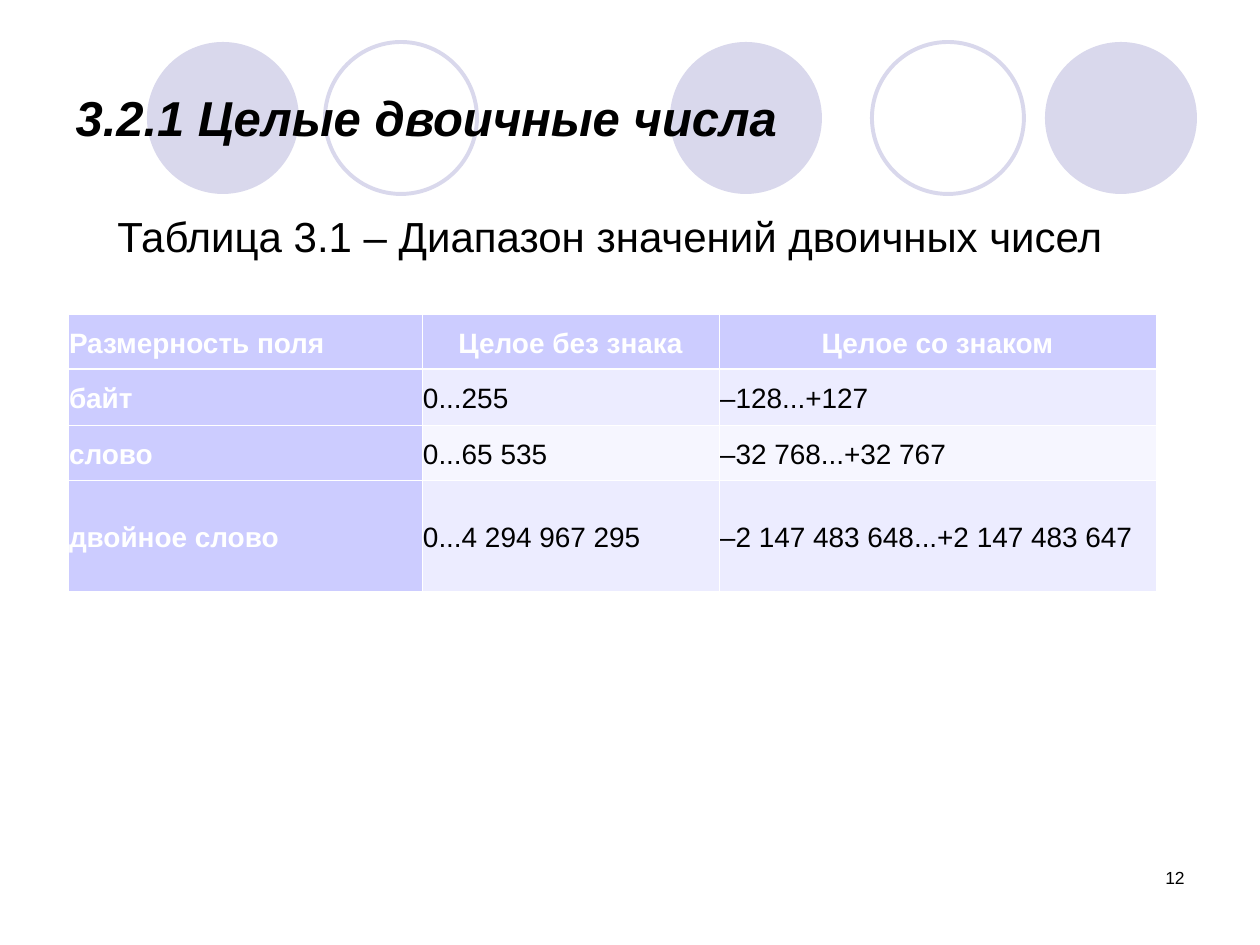
from lxml.etree import SubElement
from pptx import Presentation
from pptx.dml.color import RGBColor
from pptx.enum.shapes import MSO_SHAPE
from pptx.enum.text import MSO_ANCHOR, MSO_AUTO_SIZE, PP_ALIGN
from pptx.oxml.ns import qn
from pptx.util import Pt

PX = 914400 / 126


def color(value):
    return RGBColor.from_string(value)


def write(frame, text, size=16, ink="000000", bold=False, italic=False,
          align=PP_ALIGN.LEFT, anchor=MSO_ANCHOR.MIDDLE, spacing=1.0):
    frame.word_wrap = True
    frame.vertical_anchor = anchor
    para = frame.paragraphs[0]
    para.alignment = align
    para.line_spacing = spacing
    span = para.add_run()
    span.text = text
    span.font.name = "Arial"
    span.font.size = Pt(size)
    span.font.bold = bold
    span.font.italic = italic
    span.font.color.rgb = color(ink)


deck = Presentation()
deck.slide_width = round(1260 * PX)
deck.slide_height = round(945 * PX)
page = deck.slides.add_slide(deck.slide_layouts[5])

for left, filled in [(670, True), (1045, True), (147, True), (872, False), (325, False)]:
    circle = page.shapes.add_shape(
        MSO_SHAPE.OVAL, *[round(length * PX) for length in (left, 42, 152, 152)])
    circle.shadow.inherit = False
    if filled:
        circle.fill.solid()
        circle.fill.fore_color.rgb = color("D9D8EC")
        circle.line.fill.background()
    else:
        circle.fill.background()
        circle.line.color.rgb = color("D9D8EC")
        circle.line.width = Pt(2.25)

title = page.shapes.title
title.left, title.top, title.width, title.height = [
    round(length * PX) for length in (63, 38, 1134, 158)]
write(title.text_frame, "3.2.1 Целые двоичные числа", size=28, bold=True, italic=True)
page.shapes._spTree.append(title._element)

number_box = page.shapes.add_textbox(
    *[round(length * PX) for length in (903, 861, 294, 63)])
write(number_box.text_frame, "12", size=10, align=PP_ALIGN.RIGHT, anchor=MSO_ANCHOR.TOP)

rows = [
    ["Размерность поля", "Целое без знака", "Целое со знаком"],
    ["байт", "0...255", "–128...+127"],
    ["слово", "0...65 535", "–32 768...+32 767"],
    ["двойное слово", "0...4 294 967 295", "–2 147 483 648...+2 147 483 647"],
]
column_widths = [354, 297, 437]
row_heights = [55, 56, 55, 111]
table = page.shapes.add_table(
    len(rows), len(column_widths),
    *[round(length * PX) for length in (68, 314, sum(column_widths), sum(row_heights))]).table
for column, width in zip(table.columns, column_widths):
    column.width = round(width * PX)
for row, height in zip(table.rows, row_heights):
    row.height = round(height * PX)

for row_index, texts in enumerate(rows):
    for column_index, text in enumerate(texts):
        cell = table.cell(row_index, column_index)
        heading = row_index == 0 or column_index == 0
        centered = row_index == 0 and column_index > 0
        cell.margin_left = cell.margin_right = round(1 * PX)
        cell.margin_top = cell.margin_bottom = round(6 * PX)
        cell.vertical_anchor = MSO_ANCHOR.MIDDLE
        write(cell.text_frame, text, bold=heading, spacing=1.15,
              ink="FFFFFF" if heading else "000000",
              align=PP_ALIGN.CENTER if centered else PP_ALIGN.JUSTIFY)
        properties = cell._tc.get_or_add_tcPr()
        for side in ("lnL", "lnR", "lnT", "lnB"):
            thick = (row_index, side) in [(0, "lnB"), (1, "lnT")]
            border = SubElement(properties, qn("a:" + side), w=str(Pt(1.47 if thick else 0.45)))
            SubElement(SubElement(border, qn("a:solidFill")), qn("a:srgbClr"), val="FFFFFF")
        band = "ECECFF" if row_index % 2 else "F6F6FF"
        cell.fill.solid()
        cell.fill.fore_color.rgb = color("CCCCFF" if heading else band)

caption = page.shapes.add_textbox(
    *[round(length * PX) for length in (105, 204, 1092, 63)])
write(caption.text_frame, "Таблица 3.1 – Диапазон значений двоичных чисел",
      size=24, align=PP_ALIGN.JUSTIFY)
caption.text_frame.auto_size = MSO_AUTO_SIZE.SHAPE_TO_FIT_TEXT

deck.save("out.pptx")
